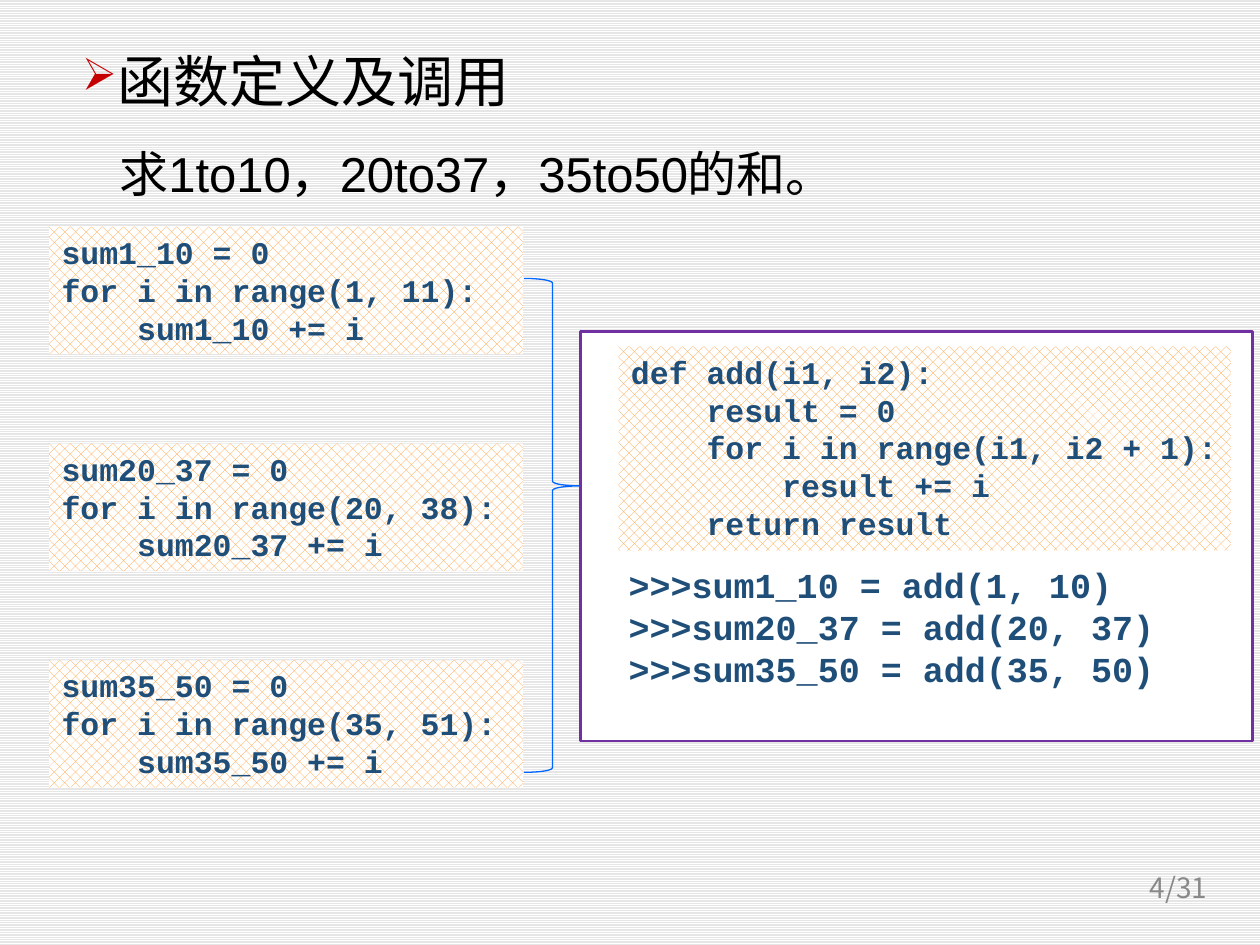
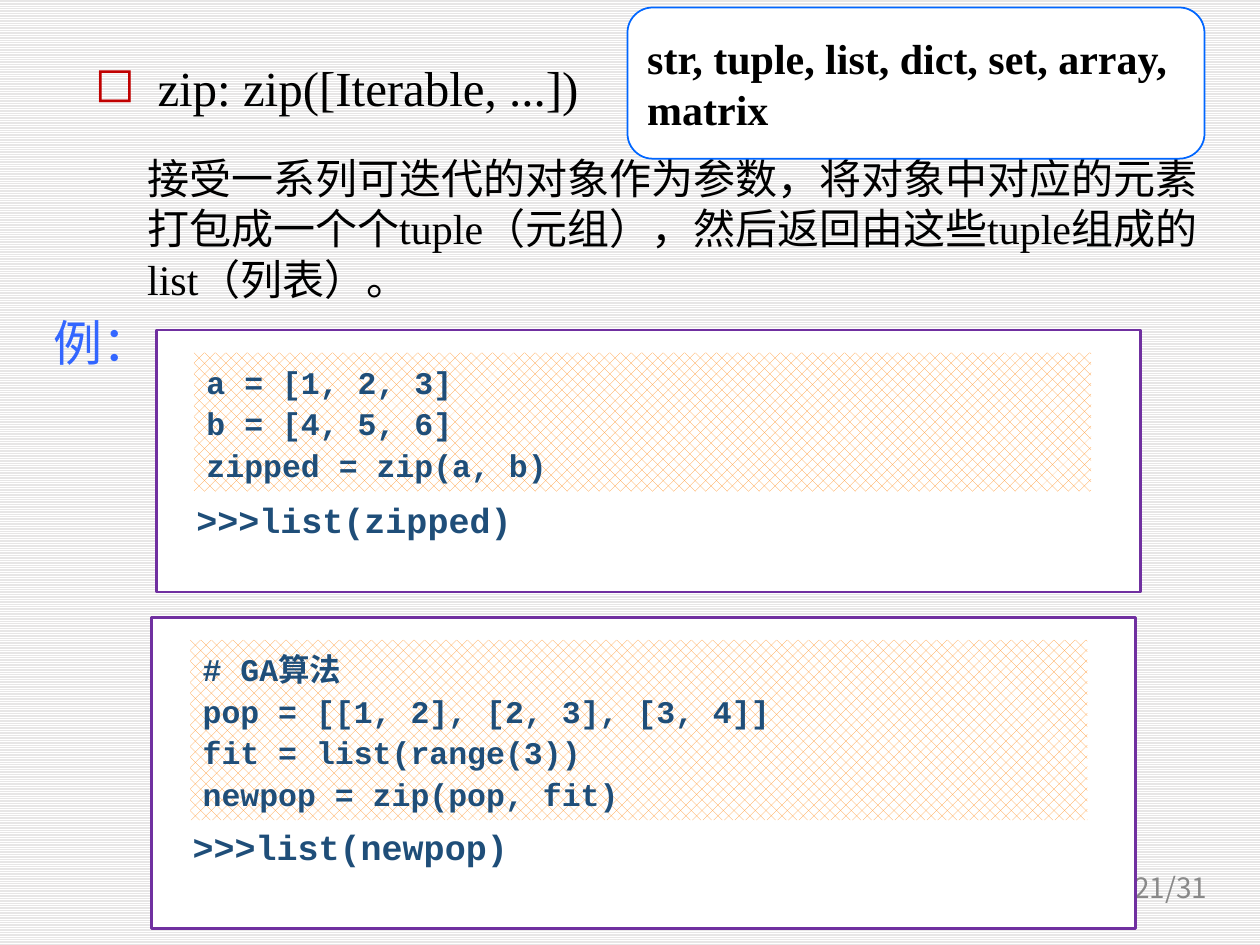
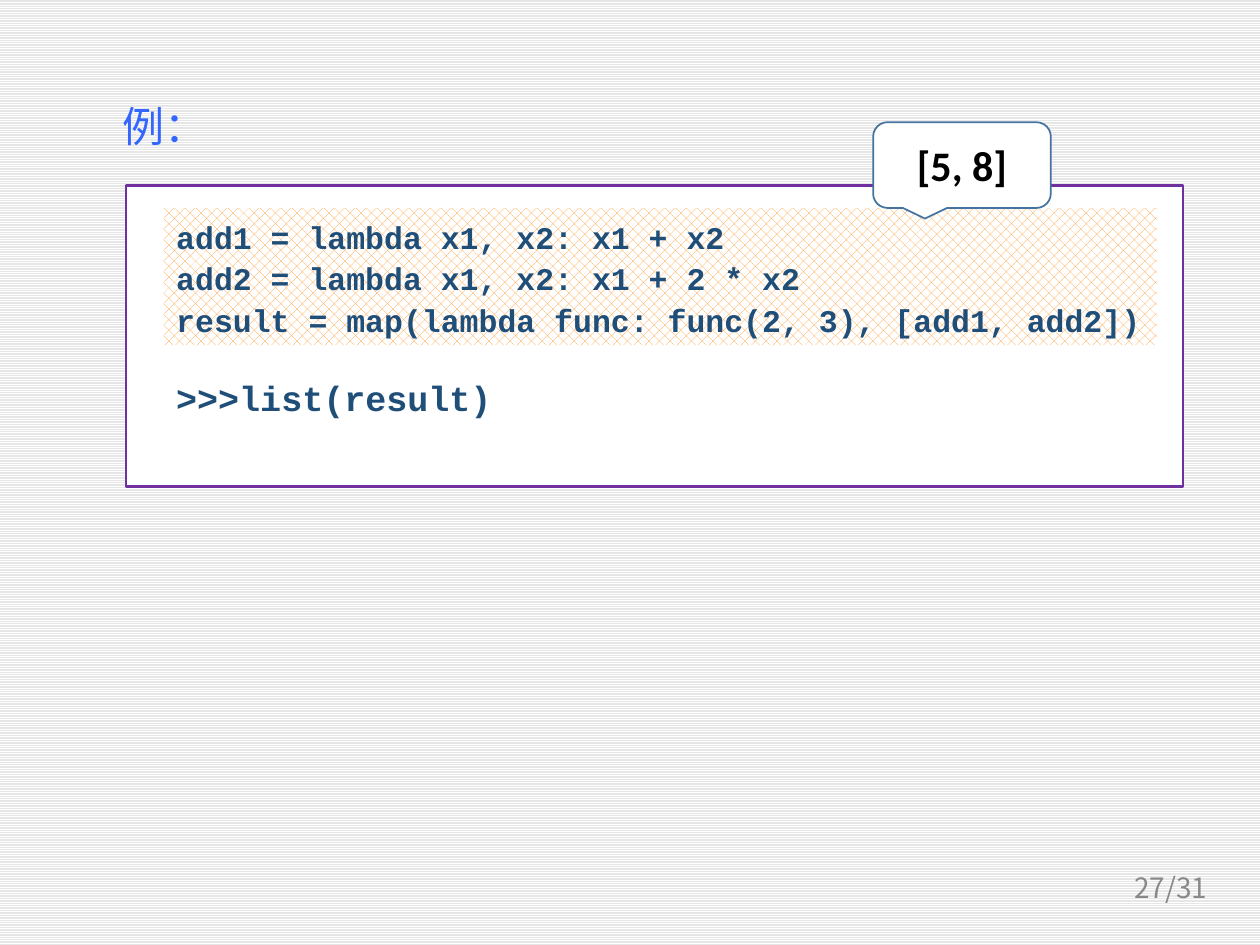
from dataclasses import dataclass

from lxml import etree
from pptx import Presentation
from pptx.dml.color import RGBColor
from pptx.enum.dml import MSO_PATTERN
from pptx.enum.shapes import MSO_SHAPE
from pptx.enum.text import MSO_ANCHOR, MSO_AUTO_SIZE, PP_ALIGN
from pptx.oxml.ns import qn
from pptx.util import Inches, Pt

RECT = MSO_SHAPE.RECTANGLE
ROUND = MSO_SHAPE.ROUNDED_RECTANGLE
BRACE = MSO_SHAPE.RIGHT_BRACE
CALLOUT = MSO_SHAPE.ROUNDED_RECTANGULAR_CALLOUT
STRIPES = MSO_PATTERN.from_xml("ltHorz")
DOTS = MSO_PATTERN.from_xml("pct40")
TOP, MIDDLE = MSO_ANCHOR.TOP, MSO_ANCHOR.MIDDLE
LEFT, CENTER, RIGHT = PP_ALIGN.LEFT, PP_ALIGN.CENTER, PP_ALIGN.RIGHT
GROW, FIXED = MSO_AUTO_SIZE.SHAPE_TO_FIT_TEXT, MSO_AUTO_SIZE.NONE

COLUMNS, ROWS = 100, 75
UNIT = Inches(0.1)
TITLE_ONLY = 5
PAGE_COUNT = 31


@dataclass(frozen=True)
class Style:
    font: str
    size: int
    color: str
    bold: bool = False
    before: int = 0
    after: int = 0
    align: int = LEFT
    spacing: float = 1.0


@dataclass(frozen=True)
class Theme:
    white: str = "FFFFFF"
    stripe: str = "E7E6E6"
    dots: str = "FF9933"
    frame: str = "7030A0"
    accent: str = "0066FF"
    callout: str = "43739E"
    arrow_bullet: str = "C40000"
    square_bullet: str = "C00000"
    title: Style = Style("Arial", 32, "000000", before=6)
    question: Style = Style("Arial", 28, "000000")
    serif_title: Style = Style("Times New Roman", 28, "000000", before=6)
    body: Style = Style("Times New Roman", 24, "000000", before=6)
    types: Style = Style("Times New Roman", 24, "000000", bold=True)
    example: Style = Style("Calibri", 28, "3366FF", before=12, after=6)
    small_example: Style = Style("Calibri", 24, "3366FF", before=12, after=6)
    answer: Style = Style("Calibri", 24, "000000", bold=True, align=CENTER)
    code: Style = Style("Courier New", 18, "1F4E79", bold=True)
    loose_code: Style = Style("Courier New", 18, "1F4E79", bold=True, spacing=1.1)
    prompt: Style = Style("Courier New", 20, "1F4E79", bold=True)
    number: Style = Style("Noto Sans CJK SC", 16, "898989", align=RIGHT)


@dataclass(frozen=True)
class Box:
    left: float
    top: float
    width: float
    height: float

    def inner(self, left, top, width, height):
        return Box(self.left + left, self.top + top, width, height)

    def lengths(self):
        sides = (self.left, self.top, self.width, self.height)
        return [round(side * UNIT) for side in sides]


THEME = Theme()


def rgb(value):
    return RGBColor.from_string(value)


def write(shape, lines, style, anchor=TOP, fit=GROW):
    frame = shape.text_frame
    frame.word_wrap = True
    frame.auto_size = fit
    frame.vertical_anchor = anchor
    frame.text = "\n".join(lines)
    for para in frame.paragraphs:
        para.alignment = style.align
        para.space_before = Pt(style.before)
        para.space_after = Pt(style.after)
        para.line_spacing = style.spacing
        para.font.name = style.font
        para.font.size = Pt(style.size)
        para.font.bold = style.bold
        para.font.color.rgb = rgb(style.color)


def add_text(parent, box, lines, style, anchor=TOP, fit=GROW):
    write(parent.shapes.add_textbox(*box.lengths()), lines, style, anchor, fit)


def add_outline(parent, kind, box, line, width, fill=THEME.white):
    shape = parent.shapes.add_shape(kind, *box.lengths())
    shape.shadow.inherit = False
    if fill:
        shape.fill.solid()
        shape.fill.fore_color.rgb = rgb(fill)
    else:
        shape.fill.background()
    shape.line.color.rgb = rgb(line)
    shape.line.width = Pt(width)
    return shape


def set_pattern(fill, pattern, front, back):
    fill.patterned()
    fill.pattern = pattern
    fill.fore_color.rgb = rgb(front)
    fill.back_color.rgb = rgb(back)


def add_code(parent, box, lines, style):
    shape = parent.shapes.add_shape(RECT, *box.lengths())
    shape.shadow.inherit = False
    shape.line.fill.background()
    set_pattern(shape.fill, DOTS, THEME.dots, THEME.white)
    write(shape, lines, style)


def add_panel(page, box, code, code_box, prompts, prompt_box, style):
    group = page.shapes.add_group_shape()
    add_outline(group, RECT, box, THEME.frame, 1.5)
    add_text(group, box.inner(*prompt_box), prompts, THEME.prompt)
    add_code(group, box.inner(*code_box), code, style)


def set_title(page, box, text, style):
    title = page.shapes.title
    title.left, title.top, title.width, title.height = box.lengths()
    write(title, [text], style)
    return title.text_frame.paragraphs[0]


def set_bullet(para, char, color, share=100, indent=0):
    props = para._p.get_or_add_pPr()
    props.set("marL", str(Inches(indent)))
    props.set("indent", str(-Inches(indent)))
    tint = etree.SubElement(props, qn("a:buClr"))
    etree.SubElement(tint, qn("a:srgbClr"), val=color)
    etree.SubElement(props, qn("a:buSzPct"), val=str(share * 1000))
    etree.SubElement(props, qn("a:buChar"), char=char)
    props.append(props.find(qn("a:defRPr")))


def add_page(deck, number):
    page = deck.slides.add_slide(deck.slide_layouts[TITLE_ONLY])
    set_pattern(page.background.fill, STRIPES, THEME.white, THEME.stripe)
    add_text(page, Box(87.5, 68.4, 9.3, 4), [f"{number}/{PAGE_COUNT}"],
             THEME.number, MIDDLE, FIXED)
    return page


def add_loops(page, box, ranges, pitch):
    for index, (first, last) in enumerate(ranges):
        name = f"sum{first}_{last}"
        lines = [f"{name} = 0",
                 f"for i in range({first}, {last + 1}):",
                 f"    {name} += i"]
        add_code(page, box.inner(0, index * pitch, box.width, box.height),
                 lines, THEME.code)


def build_functions(deck):
    page = add_page(deck, 4)
    ranges = [(1, 10), (20, 37), (35, 50)]
    para = set_title(page, Box(5.5, 3.2, 44.2, 6.4), "函数定义及调用", THEME.title)
    set_bullet(para, "➢", THEME.arrow_bullet, share=80)
    add_text(page, Box(8.5, 10.9, 71.1, 5.7),
             ["求1to10，20to37，35to50的和。"], THEME.question)
    add_loops(page, Box(3.9, 18, 37.6, 10.1), ranges, 17.2)
    brace = add_outline(page, BRACE, Box(41.6, 22.1, 4.5, 39.2),
                        THEME.accent, 0.75, fill=None)
    brace.adjustments[0] = 0.08
    brace.adjustments[1] = 0.42
    code = ["def add(i1, i2):",
            "    result = 0",
            "    for i in range(i1, i2 + 1):",
            "        result += i",
            "    return result"]
    prompts = [f">>>sum{first}_{last} = add({first}, {last})"
               for first, last in ranges]
    add_panel(page, Box(46.1, 26.3, 53.3, 32.5), code, (3, 1.2, 48.6, 16.2),
              prompts, (2.8, 17.9, 47.2, 11.1), THEME.code)


def build_zip(deck):
    page = add_page(deck, 21)
    para = set_title(page, Box(6.5, 4.1, 89.1, 11.3),
                     "zip: zip([Iterable, ...])", THEME.serif_title)
    set_bullet(para, "◻", THEME.square_bullet, indent=0.5)
    add_text(page, Box(10.7, 11.6, 87.6, 13.1),
             ["接受一系列可迭代的对象作为参数，将对象中对应的元素打包成一个个"
              "tuple（元组），然后返回由这些tuple组成的list（列表）。"], THEME.body)
    add_text(page, Box(3.3, 24.3, 72.2, 5.7), ["例："], THEME.example)
    add_panel(page, Box(12.4, 26.2, 78.1, 20.8),
              ["a = [1, 2, 3]", "b = [4, 5, 6]", "zipped = zip(a, b)"],
              (3, 1.8, 71.2, 11),
              [">>>list(zipped)"], (2.2, 12.9, 76.6, 4.3), THEME.loose_code)
    add_panel(page, Box(12, 49, 78.1, 24.7),
              ["# GA算法", "pop = [[1, 2], [2, 3], [3, 4]]",
               "fit = list(range(3))", "newpop = zip(pop, fit)"],
              (3.1, 1.8, 71.2, 14.3),
              [">>>list(newpop)"], (2.3, 16, 76.6, 4.3), THEME.loose_code)
    types = add_outline(page, ROUND, Box(49.8, 0.6, 45.8, 12), THEME.accent, 1)
    write(types, ["str, tuple, list, dict, set, array, matrix"],
          THEME.types, MIDDLE, FIXED)


def build_map(deck):
    page = add_page(deck, 27)
    set_title(page, Box(8.7, 7.5, 79.8, 5), "例：", THEME.small_example)
    add_panel(page, Box(10, 14.7, 83.9, 23.9),
              ["add1 = lambda x1, x2: x1 + x2",
               "add2 = lambda x1, x2: x1 + 2 * x2",
               "result = map(lambda func: func(2, 3), [add1, add2])"],
              (3, 1.8, 78.8, 10.9),
              [">>>list(result)"], (3, 14.7, 76.6, 4.4), THEME.loose_code)
    answer = add_outline(page, CALLOUT, Box(69.3, 9.7, 14.1, 6.8),
                         THEME.callout, 1)
    write(answer, ["[5, 8]"], THEME.answer, MIDDLE, FIXED)


def main():
    deck = Presentation()
    deck.slide_width = COLUMNS * UNIT
    deck.slide_height = ROWS * UNIT
    for build in (build_functions, build_zip, build_map):
        build(deck)
    deck.save("out.pptx")


main()
